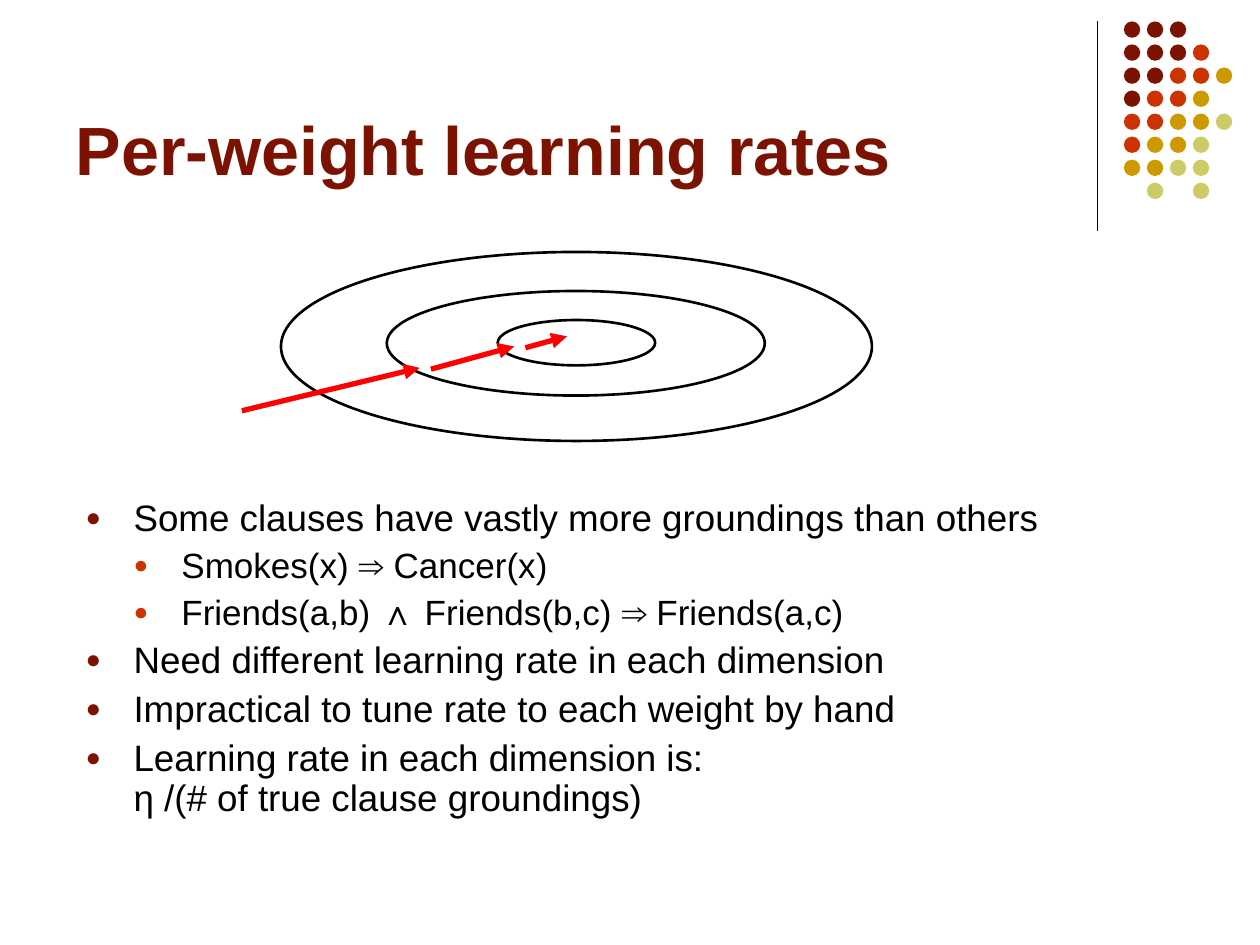
from lxml.etree import SubElement
from pptx import Presentation
from pptx.dml.color import RGBColor
from pptx.enum.shapes import MSO_CONNECTOR, MSO_SHAPE
from pptx.enum.text import MSO_ANCHOR, MSO_AUTO_SIZE, PP_ALIGN
from pptx.oxml.ns import qn
from pptx.util import Inches, Pt

COLORS = {
    "maroon": "7C1302",
    "rust": "CC3300",
    "gold": "CC9900",
    "olive": "CCCC66",
    "black": "000000",
    "red": "FF0000",
}
FONT = "Arial"
DOT_ROWS = ["mmm", "mmmr", "mmrrg", "mrrg", "rrggo", "rggo", "ggoo", " o o"]
DOT_COLORS = {"m": "maroon", "r": "rust", "g": "gold", "o": "olive"}
RINGS = [(0.31, 0, 4.69, 1.5), (1.15, 0.31, 3, 0.83), (2.03, 0.54, 1.25, 0.36)]
STEPS = [(0, 1.26, 1.41, 0.92), (1.5, 0.93, 2.16, 0.75), (2.25, 0.76, 2.58, 0.67)]
BULLETS = [
    (0, "Some clauses have vastly more groundings than others"),
    (1, "Smokes(x) ⇒ Cancer(x)"),
    (1, "Friends(a,b) ∧ Friends(b,c) ⇒ Friends(a,c)"),
    (0, "Need different learning rate in each dimension"),
    (0, "Impractical to tune rate to each weight by hand"),
    (0, "Learning rate in each dimension is:\vη /(# of true clause groundings)"),
]
LEVELS = [
    {"size": 21, "before": 5.2, "bullet": "maroon"},
    {"size": 20, "before": 5, "bullet": "rust"},
]


def rgb(name):
    """Return the named colour."""
    return RGBColor.from_string(COLORS[name])


def place(sp, left, top, width, height):
    """Move and size a shape, in inches."""
    sp.left, sp.top = Inches(left), Inches(top)
    sp.width, sp.height = Inches(width), Inches(height)


def style_font(font, size, color, bold=False):
    """Set the typeface, size, colour and weight of a font."""
    font.name, font.size, font.bold = FONT, Pt(size), bold
    font.color.rgb = rgb(color)


def add_line(s, x1, y1, x2, y2, color, width, arrow=False):
    """Draw a straight line, with an arrowhead at its end if asked."""
    line = s.shapes.add_connector(
        MSO_CONNECTOR.STRAIGHT, Inches(x1), Inches(y1), Inches(x2), Inches(y2)
    )
    line.line.color.rgb = rgb(color)
    line.line.width = Pt(width)
    if arrow:
        SubElement(line.line._get_or_add_ln(), qn("a:tailEnd"), type="triangle")
    SubElement(line._element.spPr, qn("a:effectLst"))


def add_ellipse(shapes, left, top, width, height, fill=None):
    """Draw a filled dot, or an outlined ring when no fill is given."""
    sp = shapes.add_shape(
        MSO_SHAPE.OVAL, Inches(left), Inches(top), Inches(width), Inches(height)
    )
    sp.shadow.inherit = False
    if fill:
        sp.fill.solid()
        sp.fill.fore_color.rgb = rgb(fill)
        sp.line.fill.background()
    else:
        sp.fill.background()
        sp.line.color.rgb = rgb("black")
        sp.line.width = Pt(1.5)


def draw_corner(s, left, top, width, height):
    """Draw the dot grid and the rule to its left."""
    dot = 0.13
    col_step = (width - dot) / (max(map(len, DOT_ROWS)) - 1)
    row_step = (height - dot) / (len(DOT_ROWS) - 1)
    add_line(s, left - 0.21, top, left - 0.21, top + 1.66, "black", 0.75)
    group = s.shapes.add_group_shape()
    for row, keys in enumerate(DOT_ROWS):
        for col, key in enumerate(keys):
            if key in DOT_COLORS:
                add_ellipse(group.shapes, left + col * col_step, top + row * row_step,
                            dot, dot, DOT_COLORS[key])


def draw_contours(s, left, top):
    """Draw the error contours and the descent steps crossing them."""
    for x, y, width, height in RINGS:
        add_ellipse(s.shapes, left + x, top + y, width, height)
    for x1, y1, x2, y2 in STEPS:
        add_line(s, left + x1, top + y1, left + x2, top + y2, "red", 3, arrow=True)


def fill_title(sp, left, top, width, height):
    """Set the slide title."""
    place(sp, left, top, width, height)
    tf = sp.text_frame
    tf.text = "Per-weight learning rates"
    tf.auto_size = MSO_AUTO_SIZE.NONE
    tf.vertical_anchor = MSO_ANCHOR.BOTTOM
    p = tf.paragraphs[0]
    p.alignment = PP_ALIGN.LEFT
    style_font(p.runs[0].font, 39, "maroon", bold=True)


def add_bullet(p, level, color):
    """Give a paragraph a hanging round bullet."""
    pPr = p._p.get_or_add_pPr()
    pPr.set("marL", str(Inches(0.38 * (level + 1))))
    pPr.set("indent", str(Inches(-0.38)))
    SubElement(SubElement(pPr, qn("a:buClr")), qn("a:srgbClr"), val=COLORS[color])
    SubElement(pPr, qn("a:buSzPct"), val="70000")
    SubElement(pPr, qn("a:buFont"), typeface=FONT)
    SubElement(pPr, qn("a:buChar"), char="●")


def fill_body(sp, left, top, width, height):
    """Set the two-level bullet list."""
    place(sp, left, top, width, height)
    tf = sp.text_frame
    tf.auto_size = MSO_AUTO_SIZE.NONE
    tf.vertical_anchor = MSO_ANCHOR.TOP
    for i, (level, text) in enumerate(BULLETS):
        p = tf.add_paragraph() if i else tf.paragraphs[0]
        style = LEVELS[level]
        p.text, p.level = text, level
        add_bullet(p, level, style["bullet"])
        p.line_spacing = 0.9
        p.space_before = Pt(style["before"] if i else 0)
        for r in p.runs:
            style_font(r.font, style["size"], "black")


def main():
    """Build the slide and save it."""
    prs = Presentation()
    prs.slide_width, prs.slide_height = Inches(10), Inches(7.5)
    s = prs.slides.add_slide(prs.slide_layouts[1])
    draw_corner(s, 8.92, 0.17, 0.86, 1.41)
    fill_title(s.shapes.title, 0.5, 0.13, 8.25, 1.42)
    fill_body(s.placeholders[1], 0.58, 3.92, 8.92, 3.08)
    draw_contours(s, 1.92, 2)
    prs.save("out.pptx")


if __name__ == "__main__":
    main()
